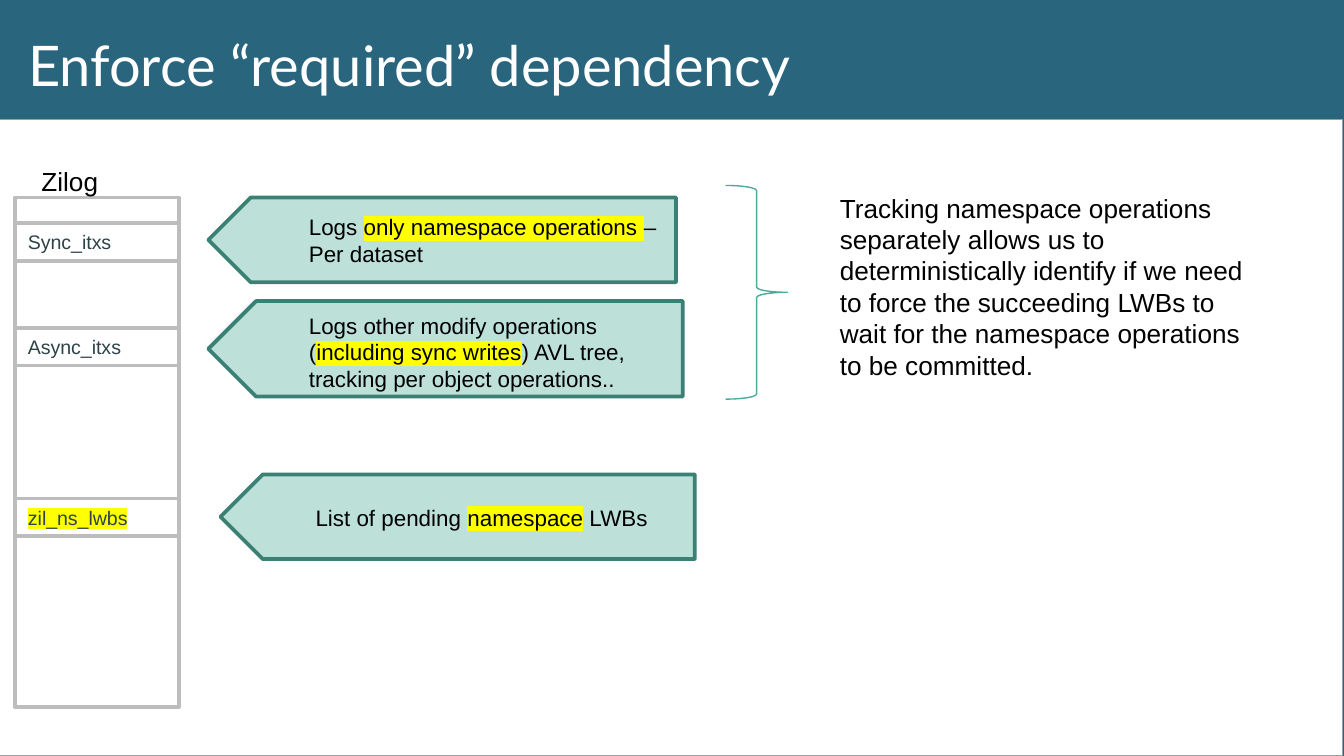
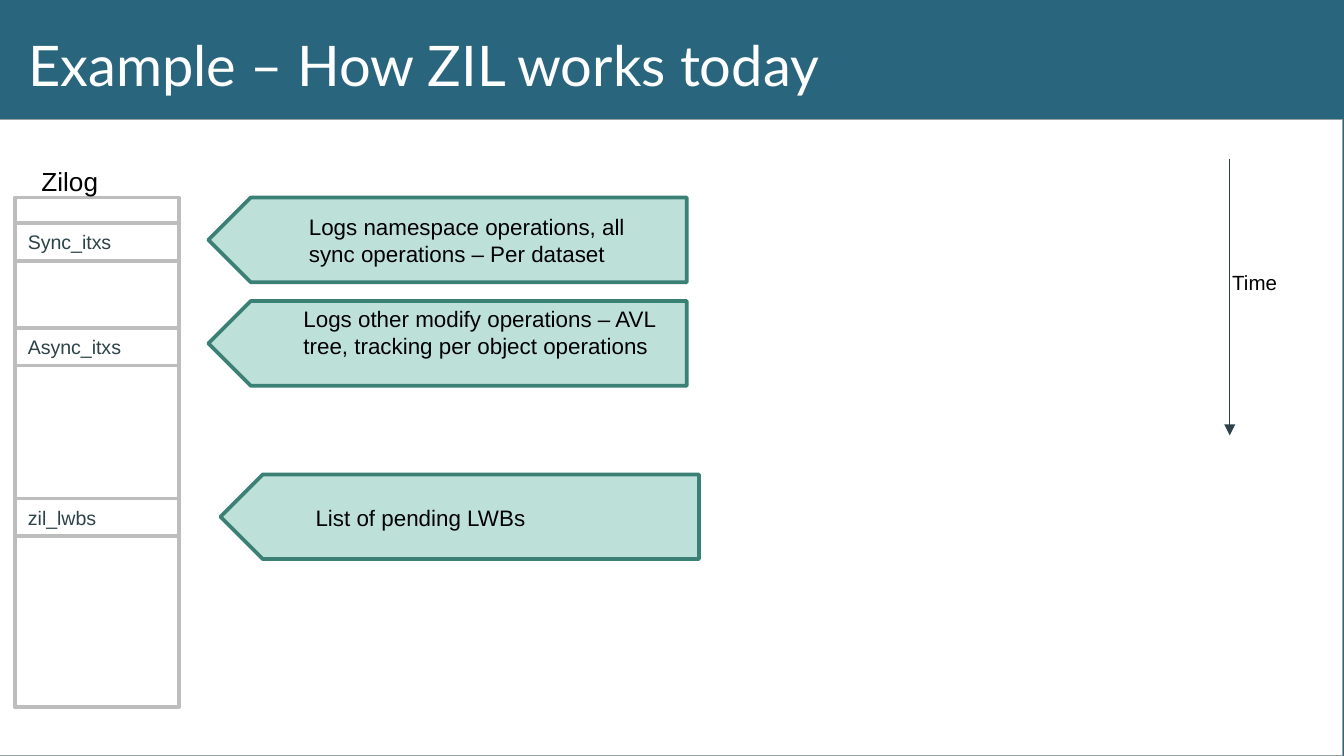
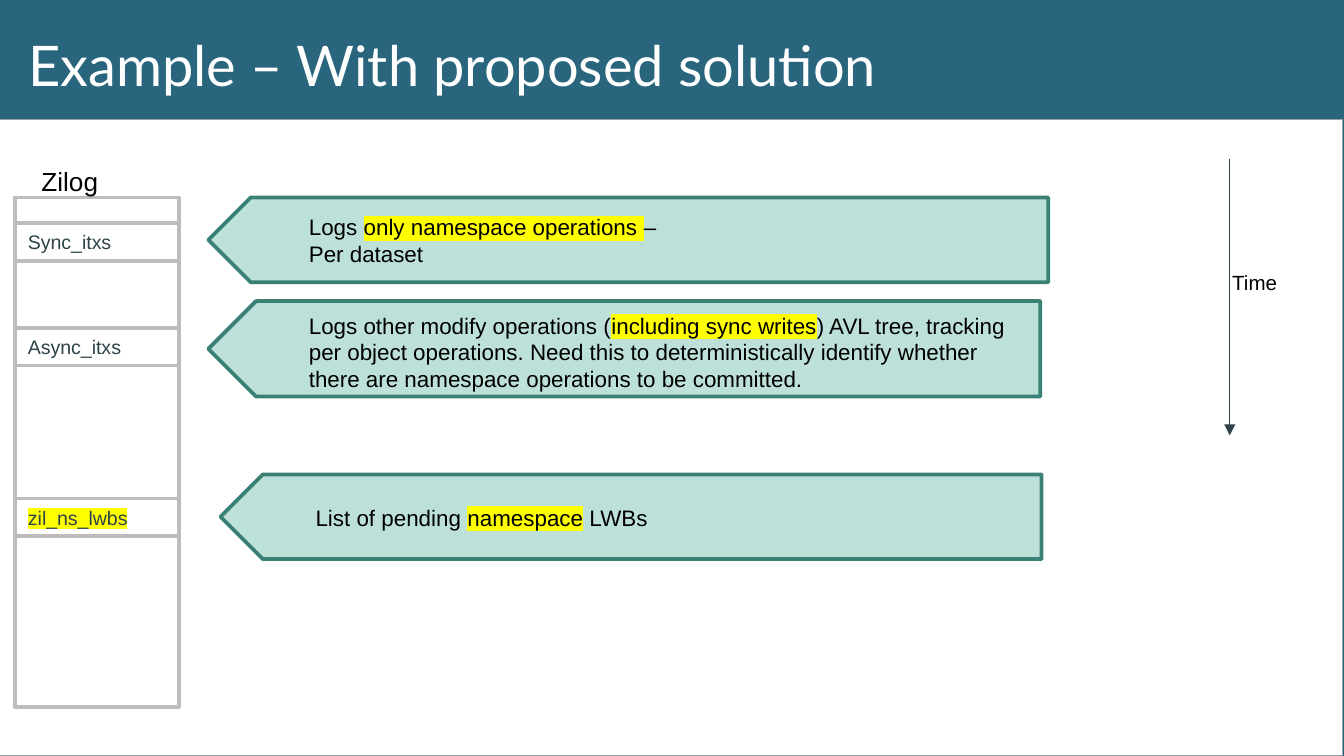
from dataclasses import dataclass
from typing import Optional

from lxml import etree
from pptx import Presentation
from pptx.dml.color import RGBColor
from pptx.enum import shapes, text
from pptx.oxml import ns
from pptx.util import Emu, Pt

PX = 9144
SLIDE_WIDTH = 1000 * PX
SLIDE_HEIGHT = SLIDE_WIDTH * 9 // 16


@dataclass(frozen=True)
class Theme:
    band: str = "29667E"
    panel: str = "FFFFFF"
    panel_line: str = "96A1A4"
    title: str = "FFFFFF"
    cell_line: str = "BDBDBD"
    cell_text: str = "2D4349"
    callout: str = "BDE1D9"
    callout_line: str = "3A8074"
    brace: str = "4AAC9B"
    body: str = "000000"
    highlight: str = "FFFF00"
    title_font: str = "Lato"
    body_font: str = "Arial"
    title_size: float = 30
    heading_size: float = 14
    callout_size: float = 12
    time_size: float = 11
    cell_size: float = 10.5
    thick: float = 2
    thin: float = 0.75


@dataclass(frozen=True)
class Box:
    left: int
    top: int
    width: int
    height: int

    def emu(self) -> list[Emu]:
        return [Emu(px * PX) for px in (self.left, self.top, self.width, self.height)]


@dataclass(frozen=True)
class Callout:
    plate: Box
    label: Box
    words: str


@dataclass(frozen=True)
class Page:
    title: str
    lwb_field: str
    callouts: tuple[Callout, ...]
    takeaway: Optional[str] = None


THEME = Theme()
PANEL = Box(-8, 89, 1007, 473)
TITLE = Box(11, 13, 655, 63)
ZILOG = Box(11, 147, 122, 379)
ZILOG_LABEL = Box(21, 118, 102, 34)
FIELD_TOPS = (166, 244, 371)
FIELD_HEIGHT = 28
TIME_X, TIME_START, TIME_END = 915, 118, 324
TIME_LABEL = Box(907, 196, 63, 29)
BRACE = Box(540, 138, 46, 159)
TAKEAWAY = Box(615, 138, 338, 151)
SYNC_LABEL = Box(220, 154, 284, 50)
LWB_LABEL = Box(225, 370, 284, 30)

NAMESPACE_ONLY = "Logs *only namespace operations *– Per dataset"
PENDING_NAMESPACE = "List of pending *namespace* LWBs"
OTHER_MODIFY = "Logs other modify operations (*including sync writes*) AVL tree, tracking per object operations."

PAGES = (
    Page(
        "Enforce “required” dependency",
        "*zil_ns_lwbs*",
        (
            Callout(Box(155, 147, 348, 63), SYNC_LABEL, NAMESPACE_ONLY),
            Callout(Box(155, 224, 353, 71), Box(220, 227, 280, 71), OTHER_MODIFY + "."),
            Callout(Box(164, 353, 353, 63), LWB_LABEL, PENDING_NAMESPACE),
        ),
        "Tracking namespace operations separately allows us to deterministically identify if we need "
        "to force the succeeding LWBs to wait for the namespace operations to be committed.",
    ),
    Page(
        "Example – How ZIL works today",
        "zil_lwbs",
        (
            Callout(Box(155, 147, 356, 63), SYNC_LABEL,
                    "Logs namespace operations, all sync operations – Per dataset"),
            Callout(Box(155, 224, 356, 63), Box(216, 222, 284, 71),
                    "Logs other modify operations – AVL tree, tracking per object operations"),
            Callout(Box(164, 353, 356, 63), LWB_LABEL, "List of pending LWBs"),
        ),
    ),
    Page(
        "Example – With proposed solution",
        "*zil_ns_lwbs*",
        (
            Callout(Box(155, 147, 625, 63), SYNC_LABEL, NAMESPACE_ONLY),
            Callout(Box(155, 224, 619, 71), Box(220, 227, 543, 71),
                    OTHER_MODIFY + " Need this to deterministically identify whether "
                    "there are namespace operations to be committed."),
            Callout(Box(164, 353, 611, 63), LWB_LABEL, PENDING_NAMESPACE),
        ),
    ),
)


def rgb(value: str) -> RGBColor:
    return RGBColor.from_string(value)


def highlight(run) -> None:
    mark = etree.SubElement(run.font._element, ns.qn("a:highlight"))
    etree.SubElement(mark, ns.qn("a:srgbClr"), val=THEME.highlight)


def write(frame, words: str, size: float, color: str, font: str = THEME.body_font) -> None:
    frame.word_wrap = True
    paragraph = frame.paragraphs[0]
    paragraph.alignment = text.PP_ALIGN.LEFT
    paragraph.font.size = Pt(size)
    paragraph.font.name = font
    paragraph.font.color.rgb = rgb(color)
    for index, piece in enumerate(words.split("*")):
        if piece:
            run = paragraph.add_run()
            run.text = piece
            if index % 2:
                highlight(run)


def add_shape(slide, kind, box: Box, fill: Optional[str], line: str, weight: float):
    shape = slide.shapes.add_shape(kind, *box.emu())
    shape.shadow.inherit = False
    if fill:
        shape.fill.solid()
        shape.fill.fore_color.rgb = rgb(fill)
    else:
        shape.fill.background()
    shape.line.color.rgb = rgb(line)
    shape.line.width = Pt(weight)
    return shape


def add_label(slide, box: Box, words: str, size: float) -> None:
    frame = slide.shapes.add_textbox(*box.emu()).text_frame
    write(frame, words, size, THEME.body)
    frame.auto_size = text.MSO_AUTO_SIZE.SHAPE_TO_FIT_TEXT


def add_title(slide, words: str) -> None:
    title = slide.shapes.title
    title.left, title.top, title.width, title.height = TITLE.emu()
    frame = title.text_frame
    frame.margin_left = frame.margin_right = frame.margin_top = frame.margin_bottom = Emu(10 * PX)
    frame.vertical_anchor = text.MSO_ANCHOR.TOP
    frame.auto_size = text.MSO_AUTO_SIZE.NONE
    write(frame, words, THEME.title_size, THEME.title, THEME.title_font)


def add_zilog(slide, lwb_field: str) -> None:
    rectangle = shapes.MSO_SHAPE.RECTANGLE
    add_shape(slide, rectangle, ZILOG, THEME.panel, THEME.cell_line, THEME.thick)
    for top, name in zip(FIELD_TOPS, ("Sync_itxs", "Async_itxs", lwb_field)):
        box = Box(ZILOG.left, top, ZILOG.width, FIELD_HEIGHT)
        field = add_shape(slide, rectangle, box, THEME.panel, THEME.cell_line, THEME.thick)
        write(field.text_frame, name, THEME.cell_size, THEME.cell_text)
    add_label(slide, ZILOG_LABEL, "Zilog", THEME.heading_size)


def add_callout(slide, callout: Callout) -> None:
    plate = add_shape(slide, shapes.MSO_SHAPE.PENTAGON, callout.plate,
                      THEME.callout, THEME.callout_line, THEME.thick)
    plate.rotation = 180
    add_label(slide, callout.label, callout.words, THEME.callout_size)


def add_time_arrow(slide) -> None:
    ends = [Emu(px * PX) for px in (TIME_X, TIME_START, TIME_X, TIME_END)]
    arrow = slide.shapes.add_connector(shapes.MSO_CONNECTOR.STRAIGHT, *ends)
    arrow.line.color.rgb = rgb(THEME.cell_text)
    arrow.line.width = Pt(THEME.thin)
    properties = arrow._element.spPr
    etree.SubElement(properties.find(ns.qn("a:ln")), ns.qn("a:tailEnd"), type="triangle")
    etree.SubElement(properties, ns.qn("a:effectLst"))
    add_label(slide, TIME_LABEL, "Time", THEME.time_size)


def add_takeaway(slide, words: str) -> None:
    add_shape(slide, shapes.MSO_SHAPE.RIGHT_BRACE, BRACE, None, THEME.brace, THEME.thin)
    add_label(slide, TAKEAWAY, words, THEME.heading_size)


def add_page(presentation, layout, page: Page) -> None:
    slide = presentation.slides.add_slide(layout)
    add_title(slide, page.title)
    add_zilog(slide, page.lwb_field)
    if not page.takeaway:
        add_time_arrow(slide)
    for callout in page.callouts:
        add_callout(slide, callout)
    if page.takeaway:
        add_takeaway(slide, page.takeaway)


def style_template(presentation, layout) -> None:
    background = presentation.slide_master.background.fill
    background.solid()
    background.fore_color.rgb = rgb(THEME.band)
    panel = add_shape(presentation.slides[0], shapes.MSO_SHAPE.RECTANGLE, PANEL,
                      THEME.panel, THEME.panel_line, THEME.thin)
    layout.shapes._spTree.insert(2, panel._element)


def main() -> None:
    presentation = Presentation()
    presentation.slide_width = Emu(SLIDE_WIDTH)
    presentation.slide_height = Emu(SLIDE_HEIGHT)
    layout = presentation.slide_layouts.get_by_name("Title Only")
    for page in PAGES:
        add_page(presentation, layout, page)
    style_template(presentation, layout)
    presentation.save("out.pptx")


if __name__ == "__main__":
    main()
